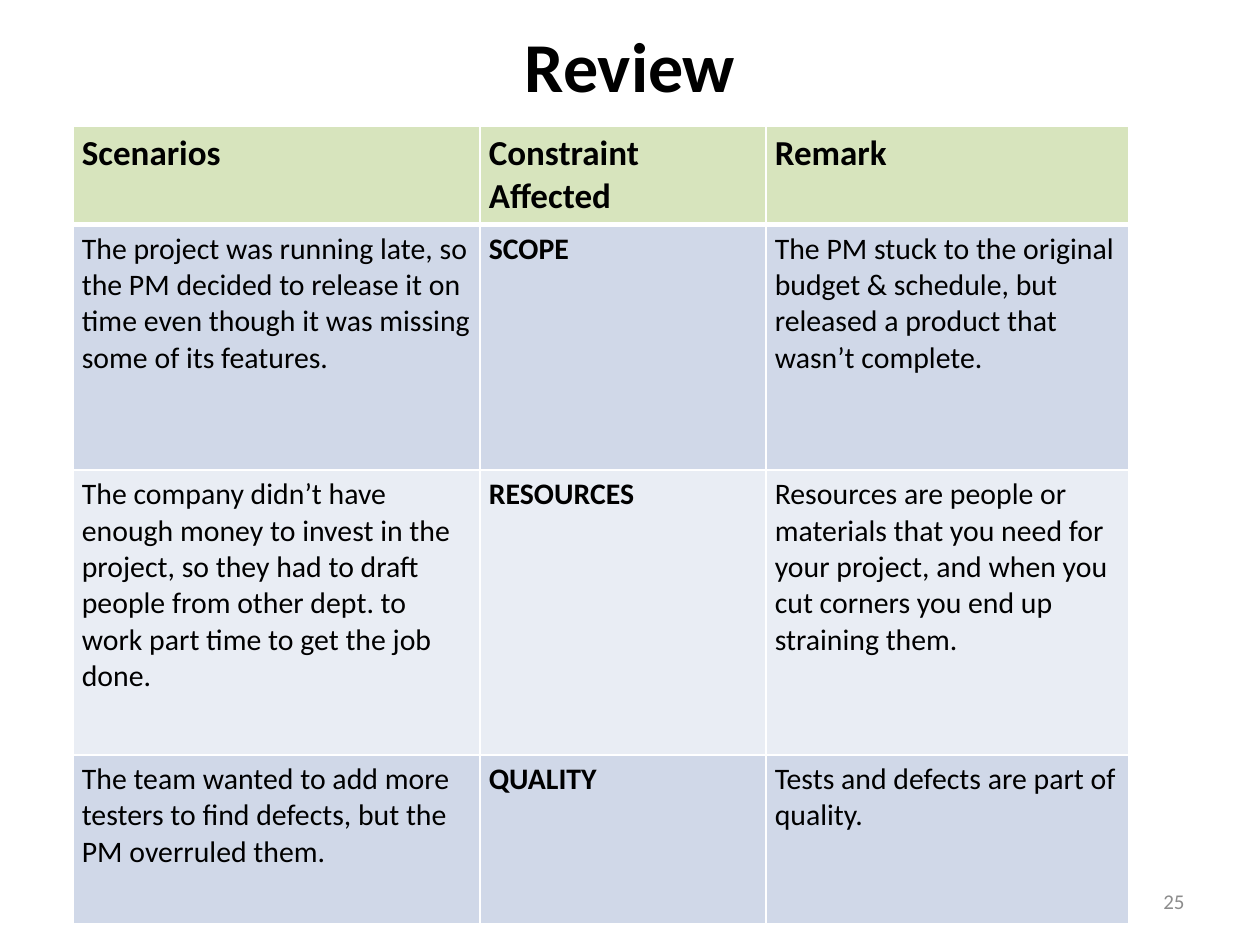
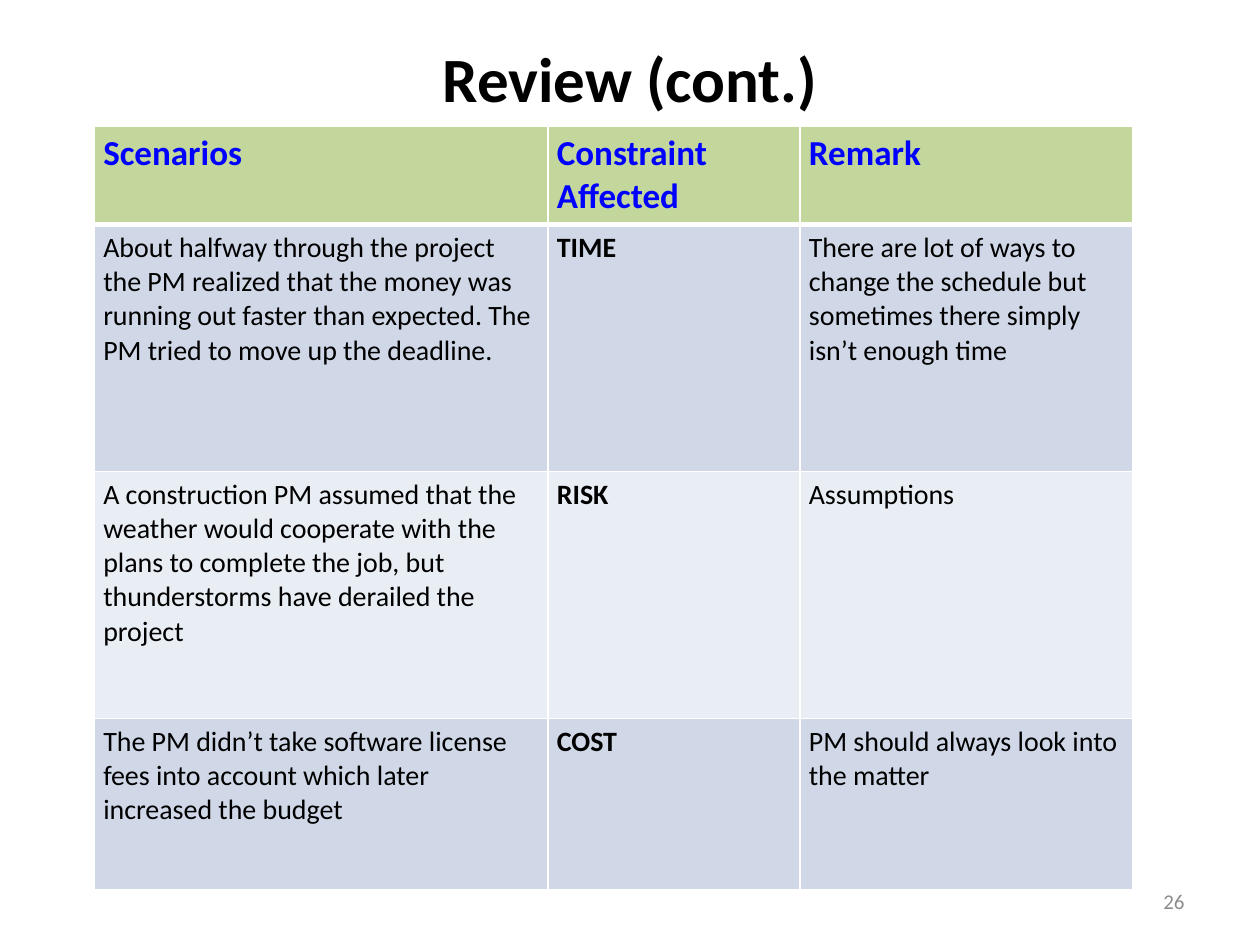
from pptx import Presentation
from pptx.dml.color import RGBColor
from pptx.enum.text import MSO_ANCHOR, PP_ALIGN
from pptx.oxml import parse_xml
from pptx.oxml.ns import nsdecls
from pptx.util import Inches, Pt

# Content
HEADINGS = ("Scenarios", "Constraint Affected", "Remark")
BLACK = RGBColor(0x00, 0x00, 0x00)
BLUE = RGBColor(0x00, 0x00, 0xFF)
GREY = RGBColor(0x8C, 0x8C, 0x8C)
PALE_GREEN = RGBColor(0xD7, 0xE4, 0xBD)
GREEN = RGBColor(0xC3, 0xD6, 0x9B)
BANDS = (RGBColor(0xD0, 0xD8, 0xE8), RGBColor(0xE9, 0xED, 0xF4))

REVIEWS = [
    {
        "title": "Review", "title_size": 40, "title_top": 0.08, "title_height": 0.87,
        "number": "25", "left": 0.58, "columns": (3.23, 2.27, 2.88),
        "row_heights": (0.72, 1.95, 2.26, 1.34),
        "heading_fill": PALE_GREEN, "heading_color": BLACK, "body_size": 17,
        "scenarios": [
            ("The project was running late, so the PM decided to release it on time "
             "even though it was missing some of its features.",
             "SCOPE",
             "The PM stuck to the original budget & schedule, but released a product "
             "that wasn’t complete."),
            ("The company didn’t have enough money to invest in the project, so they "
             "had to draft people from other dept. to work part time to get the job done.",
             "RESOURCES",
             "Resources are people or materials that you need for your project, and "
             "when you cut corners you end up straining them."),
            ("The team wanted to add more testers to find defects, but the PM "
             "overruled them.",
             "QUALITY",
             "Tests and defects are part of quality."),
        ],
    },
    {
        "title": "Review (cont.)", "title_size": 36, "title_top": 0.3, "title_height": 0.62,
        "number": "26", "left": 0.75, "columns": (3.6, 2, 2.64),
        "row_heights": (0.72, 1.96, 1.96, 1.36),
        "heading_fill": GREEN, "heading_color": BLUE, "body_size": 16,
        "scenarios": [
            ("About halfway through the project the PM realized that the money was "
             "running out faster than expected. The PM tried to move up the deadline.",
             "TIME",
             "There are lot of ways to change the schedule but sometimes there simply "
             "isn’t enough time"),
            ("A construction PM assumed that the weather would cooperate with the plans "
             "to complete the job, but thunderstorms have derailed the project",
             "RISK",
             "Assumptions"),
            ("The PM didn’t take software license fees into account which later "
             "increased the budget",
             "COST",
             "PM should always look into the matter"),
        ],
    },
]

# Shared layout
FONT = "Calibri"
MARGIN = 0.5
TABLE_TOP = 1
CELL_FORMAT = {
    "margin_left": Inches(0.07), "margin_right": Inches(0.07),
    "margin_top": Inches(0.05), "margin_bottom": Inches(0.05),
    "vertical_anchor": MSO_ANCHOR.TOP,
}


def set_all(target, values):
    for name, value in values.items():
        setattr(target, name, value)


def write(frame, text, size, color, bold=False, align=PP_ALIGN.LEFT):
    para = frame.paragraphs[0]
    para.alignment = align
    span = para.add_run()
    span.text = text
    set_all(span.font, {"name": FONT, "size": Pt(size), "bold": bold})
    span.font.color.rgb = color


def place(shape, left, top, width, height):
    set_all(shape, {"left": Inches(left), "top": Inches(top),
                    "width": Inches(width), "height": Inches(height)})


def add_borders(cell, row):
    """White cell edges, thick below the heading row."""
    widths = {"lnL": 1, "lnR": 1, "lnT": 3 if row == 1 else 1, "lnB": 3 if row == 0 else 1}
    properties = cell._tc.get_or_add_tcPr()
    for edge, width in widths.items():
        properties.append(parse_xml(
            f'<a:{edge} {nsdecls("a")} w="{Pt(width)}"><a:solidFill>'
            f'<a:srgbClr val="FFFFFF"/></a:solidFill></a:{edge}>'))


def add_review_table(page, review):
    widths, heights = review["columns"], review["row_heights"]
    table = page.shapes.add_table(
        len(heights), len(widths), Inches(review["left"]), Inches(TABLE_TOP),
        Inches(sum(widths)), Inches(sum(heights))).table
    for column, width in zip(table.columns, widths):
        column.width = Inches(width)
    for row, height in zip(table.rows, heights):
        row.height = Inches(height)

    for row, texts in enumerate([HEADINGS] + review["scenarios"]):
        heading = row == 0
        for column, text in enumerate(texts):
            cell = table.cell(row, column)
            set_all(cell, CELL_FORMAT)
            add_borders(cell, row)
            cell.fill.solid()
            cell.fill.fore_color.rgb = (
                review["heading_fill"] if heading else BANDS[(row - 1) % 2])
            write(cell.text_frame, text,
                  20 if heading else review["body_size"],
                  review["heading_color"] if heading else BLACK,
                  bold=heading or column == 1)


def add_review(deck, review):
    page = deck.slides.add_slide(deck.slide_layouts[5])

    # Title
    title = page.shapes.title
    place(title, MARGIN, review["title_top"], 10 - 2 * MARGIN, review["title_height"])
    title.text_frame.vertical_anchor = MSO_ANCHOR.MIDDLE
    write(title.text_frame, review["title"], review["title_size"], BLACK, True, PP_ALIGN.CENTER)

    add_review_table(page, review)

    # Page number
    box = page.shapes.add_textbox(
        Inches(7.17), Inches(6.95), Inches(2.33), Inches(0.4))
    set_all(box.text_frame, {"word_wrap": True, "vertical_anchor": MSO_ANCHOR.MIDDLE})
    write(box.text_frame, review["number"], 12, GREY, align=PP_ALIGN.RIGHT)


def main():
    deck = Presentation()
    set_all(deck, {"slide_width": Inches(10), "slide_height": Inches(7.5)})
    for review in REVIEWS:
        add_review(deck, review)
    deck.save("out.pptx")


if __name__ == "__main__":
    main()
